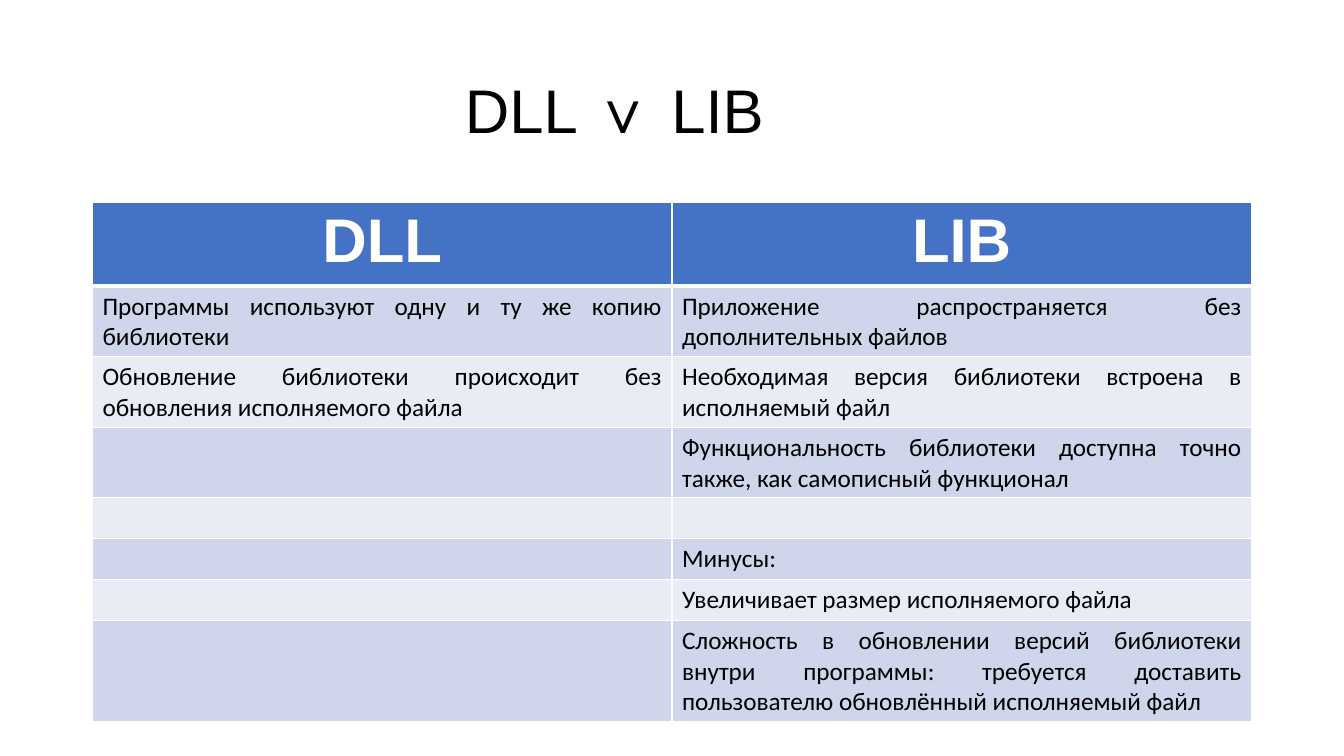
from dataclasses import dataclass

import lxml.etree
import pptx
import pptx.dml.color
import pptx.enum.text
import pptx.oxml.ns
import pptx.util

Cm = pptx.util.Cm
Align = pptx.enum.text.PP_ALIGN


@dataclass(frozen=True)
class Theme:
    """Colours, fonts and type sizes of the slide."""
    text: str = "000000"
    white: str = "FFFFFF"
    header: str = "4472C4"
    bands: tuple = ("CFD5EA", "E9EBF5")
    heading_font: str = "Arial"
    body_font: str = "Calibri"
    heading_size: int = 44
    body_size: int = 18
    thin: int = 1
    thick: int = 3


THEME = Theme()
HEADERS = ("DLL", "LIB")
COMPARISON = (
    ("Программы используют одну и ту же копию библиотеки",
     "Приложение распространяется без дополнительных файлов"),
    ("Обновление библиотеки происходит без обновления исполняемого файла",
     "Необходимая версия библиотеки встроена в исполняемый файл"),
    ("", "Функциональность библиотеки доступна точно также, как самописный функционал"),
    ("", ""),
    ("", "Минусы:"),
    ("", "Увеличивает размер исполняемого файла"),
    ("", "Сложность в обновлении версий библиотеки внутри программы: "
         "требуется доставить пользователю обновлённый исполняемый файл"),
)


def rgb(colour):
    """Return the colour object for a hex string."""
    return pptx.dml.color.RGBColor.from_string(colour)


def style_paragraph(paragraph, font, size, colour, alignment, bold=False):
    """Set the alignment and font of a paragraph."""
    paragraph.alignment = alignment
    paragraph.font.name = font
    paragraph.font.size = pptx.util.Pt(size)
    paragraph.font.color.rgb = rgb(colour)
    paragraph.font.bold = bold


def add_title(slide, text, left, top, width, height):
    """Place the centred title in its box."""
    frame = slide.shapes.add_textbox(left, top, width, height).text_frame
    frame.word_wrap = True
    frame.vertical_anchor = pptx.enum.text.MSO_ANCHOR.MIDDLE
    paragraph = frame.paragraphs[0]
    paragraph.text = text
    paragraph.line_spacing = 0.9
    style_paragraph(paragraph, THEME.heading_font, THEME.heading_size, THEME.text, Align.CENTER)


def set_borders(cell, top, bottom):
    """Draw white cell borders with the given top and bottom widths."""
    properties = cell._tc.get_or_add_tcPr()
    widths = {"a:lnL": THEME.thin, "a:lnR": THEME.thin, "a:lnT": top, "a:lnB": bottom}
    for tag, width in widths.items():
        line = lxml.etree.SubElement(properties, pptx.oxml.ns.qn(tag), w=str(pptx.util.Pt(width)))
        fill = lxml.etree.SubElement(line, pptx.oxml.ns.qn("a:solidFill"))
        lxml.etree.SubElement(fill, pptx.oxml.ns.qn("a:srgbClr"), val=THEME.white)


def add_comparison(slide, headers, rows, left, top, width, row_height):
    """Place the banded comparison table in its box."""
    count = len(rows) + 1
    table = slide.shapes.add_table(
        count, len(headers), left, top, width, row_height * count).table
    for row_index, texts in enumerate((headers, *rows)):
        is_header = row_index == 0
        table.rows[row_index].height = row_height
        for column_index, text in enumerate(texts):
            cell = table.cell(row_index, column_index)
            set_borders(cell,
                        THEME.thick if row_index == 1 else THEME.thin,
                        THEME.thick if is_header else THEME.thin)
            cell.fill.solid()
            cell.fill.fore_color.rgb = rgb(
                THEME.header if is_header else THEME.bands[(row_index - 1) % 2])
            paragraph = cell.text_frame.paragraphs[0]
            if text:
                paragraph.text = text
            if is_header:
                style_paragraph(paragraph, THEME.heading_font, THEME.heading_size,
                                THEME.white, Align.CENTER, bold=True)
            else:
                style_paragraph(paragraph, THEME.body_font, THEME.body_size,
                                THEME.text, Align.JUSTIFY)


def main():
    """Build and save the presentation."""
    presentation = pptx.Presentation()
    presentation.slide_width = Cm(33.87)
    presentation.slide_height = Cm(19.05)
    slide = presentation.slides.add_slide(presentation.slide_layouts[6])
    add_title(slide, "DLL ∨ LIB", Cm(2.33), Cm(1.01), Cm(26.31), Cm(3.68))
    add_comparison(slide, HEADERS, COMPARISON, Cm(2.33), Cm(5.09), Cm(29.21), Cm(1.03))
    presentation.save("out.pptx")


if __name__ == "__main__":
    main()
